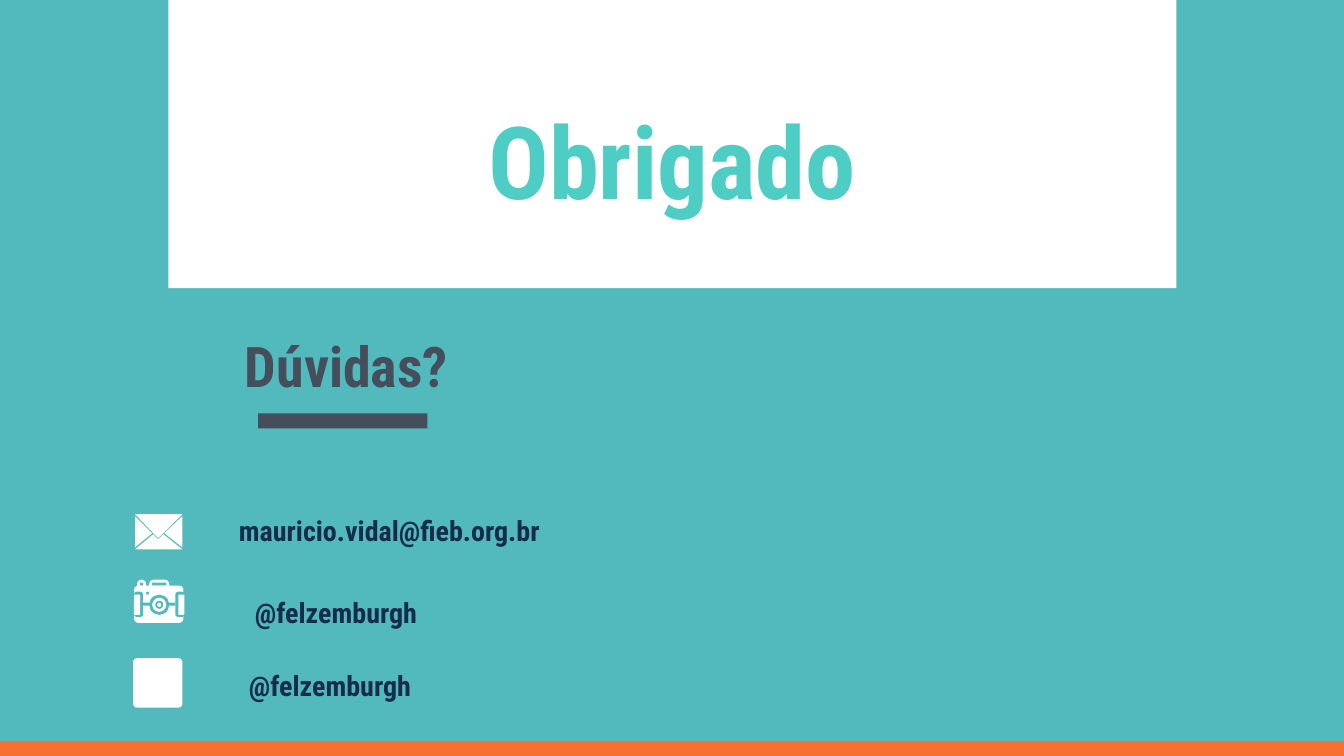
import pptx
import pptx.dml.color
import pptx.enum.shapes
import pptx.enum.text
import pptx.util

Inches = pptx.util.Inches
Shape = pptx.enum.shapes.MSO_SHAPE
Anchor = pptx.enum.text.MSO_ANCHOR
Align = pptx.enum.text.PP_ALIGN

FONT = "Roboto Condensed"
SLIDE_WIDTH = 40 / 3
COLORS = {
    "teal": "52B9BC",
    "orange": "F67031",
    "white": "FFFFFF",
    "mint": "4ECDC4",
    "slate": "454F5B",
    "navy": "172B4D",
}
ENVELOPE_UNIT = Inches(0.01)
ENVELOPE_FLAPS = [
    [(134, 510), (181, 510), (157, 534)],
    [(134, 512), (151, 529), (134, 543)],
    [(181, 512), (181, 543), (163, 529)],
    [(162, 530), (181, 545), (134, 545), (152, 530), (157, 535)],
]
CAMERA_BLOCKS = [
    (1.36, 5.75, 0.09, 0.12, "white", 0.5),
    (1.39, 5.78, 0.03, 0.03, "teal", 0.3),
    (1.48, 5.75, 0.2, 0.12, "white", 0.4),
    (1.51, 5.78, 0.14, 0.03, "teal", 0.3),
    (1.33, 5.81, 0.49, 0.37, "white", 0.12),
    (1.45, 5.87, 0.03, 0.03, "teal", 0.5),
    (1.42, 5.98, 0.32, 0.03, "teal", 0),
    (1.33, 5.87, 0.09, 0.25, "teal", 0.3),
    (1.74, 5.87, 0.09, 0.25, "teal", 0.3),
    (1.33, 5.9, 0.06, 0.2, "white", 0.15),
    (1.77, 5.9, 0.06, 0.2, "white", 0.15),
]
LENS_RINGS = [(0.1, "teal"), (0.07, "white"), (0.04, "teal"), (0.02, "white")]


def rgb(name):
    """Return the named colour."""
    return pptx.dml.color.RGBColor.from_string(COLORS[name])


def paint(shape, color):
    """Give a shape a plain fill without line or shadow."""
    shape.shadow.inherit = False
    shape.fill.solid()
    shape.fill.fore_color.rgb = rgb(color)
    shape.line.fill.background()


def add_block(page, left, top, width, height, color, rounding=0, kind=None):
    """Add a filled rectangle, rounded rectangle or other preset."""
    kind = kind or (Shape.ROUNDED_RECTANGLE if rounding else Shape.RECTANGLE)
    block = page.shapes.add_shape(
        kind, Inches(left), Inches(top), Inches(width), Inches(height))
    if rounding:
        block.adjustments[0] = rounding
    paint(block, color)


def add_text(page, left, top, width, height, text, size, color,
             side=0, align=Align.LEFT, anchor=Anchor.TOP):
    """Add a text box with one bold line."""
    box = page.shapes.add_textbox(
        Inches(left), Inches(top), Inches(width), Inches(height))
    frame = box.text_frame
    frame.word_wrap = True
    frame.vertical_anchor = anchor
    frame.margin_left = frame.margin_right = Inches(side)
    frame.margin_top = frame.margin_bottom = Inches(0.1)
    para = frame.paragraphs[0]
    para.alignment = align
    span = para.add_run()
    span.text = text
    span.font.name = FONT
    span.font.size = pptx.util.Pt(size)
    span.font.bold = True
    span.font.color.rgb = rgb(color)


def add_envelope(page):
    """Draw the envelope as one outline with four flaps."""
    builder = page.shapes.build_freeform(*ENVELOPE_FLAPS[0][0], scale=ENVELOPE_UNIT)
    for index, flap in enumerate(ENVELOPE_FLAPS):
        if index:
            builder.move_to(*flap[0])
        builder.add_line_segments(flap[1:], close=True)
    paint(builder.convert_to_shape(), "white")


def add_camera(page, center_x=1.58, center_y=6):
    """Draw the camera body and its concentric lens."""
    for block in CAMERA_BLOCKS:
        add_block(page, *block)
    for radius, color in LENS_RINGS:
        add_block(page, center_x - radius, center_y - radius,
                  2 * radius, 2 * radius, color, kind=Shape.OVAL)


def main():
    """Build the closing slide."""
    deck = pptx.Presentation()
    deck.slide_width = Inches(SLIDE_WIDTH)
    deck.slide_height = Inches(7.5)
    page = deck.slides.add_slide(deck.slide_layouts[6])
    page.background.fill.solid()
    page.background.fill.fore_color.rgb = rgb("teal")

    add_block(page, 0, 7.35, SLIDE_WIDTH, 0.15, "orange")
    add_block(page, 1.67, 0, 10, 2.86, "white")
    add_text(page, 2.35, 0.59, 8.64, 1.69, "Obrigado", 72, "mint",
             align=Align.CENTER, anchor=Anchor.BOTTOM)
    add_text(page, 2.43, 3.19, 9.23, 0.91, "Dúvidas?", 40, "slate")
    add_block(page, 2.56, 4.1, 1.68, 0.15, "slate")

    add_envelope(page)
    add_camera(page)
    add_block(page, 1.32, 6.53, 0.49, 0.49, "white", 0.08)
    add_text(page, 2.37, 4.99, 3.72, 0.92, "mauricio.vidal@fieb.org.br", 20, "navy")
    for left, top in [(2.43, 5.81), (2.37, 6.53)]:
        add_text(page, left, top, 3.72, 0.42, "@felzemburgh", 20, "navy", side=0.1)

    deck.save("out.pptx")


if __name__ == "__main__":
    main()
